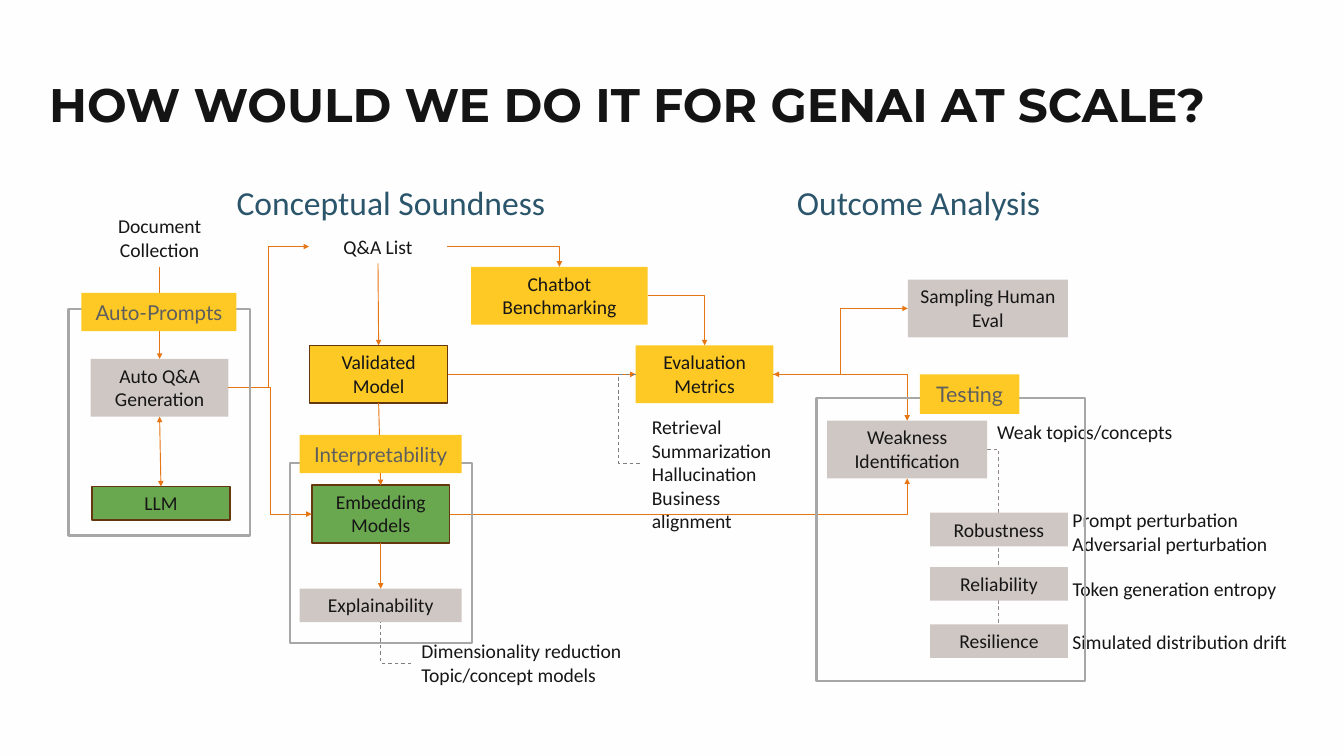
from pptx import Presentation
from pptx.dml.color import RGBColor
from pptx.enum.dml import MSO_LINE
from pptx.enum.shapes import MSO_CONNECTOR, MSO_SHAPE
from pptx.enum.text import MSO_ANCHOR, MSO_AUTO_SIZE, PP_ALIGN
from pptx.oxml.ns import qn
from pptx.util import Pt
from lxml import etree

RECT = MSO_SHAPE.RECTANGLE
STRAIGHT, ELBOW = MSO_CONNECTOR.STRAIGHT, MSO_CONNECTOR.ELBOW
DASH = MSO_LINE.DASH
CENTER, LEFT = PP_ALIGN.CENTER, PP_ALIGN.LEFT
TOP_ANCHOR, LOW_ANCHOR = MSO_ANCHOR.TOP, MSO_ANCHOR.BOTTOM
GROW = MSO_AUTO_SIZE.SHAPE_TO_FIT_TEXT
TOP, WEST, LOW, EAST = range(4)

SCALE = 9144  # EMU per px, 100 px to the inch
THEME = {
    "back": "FEFEFE", "title": "151414", "text": "161616", "head": "2B556B",
    "label": "5E5E5E", "gray": "CFC7C3", "gold": "FEC925", "amber": "FCC925",
    "green": "6AA84F", "edge": "643710", "frame": "A7A7A7", "flow": "E67513",
    "dash": "7F7F7F", "stem": "92898A",
    "title_pt": 50.4, "head_pt": 36, "text_pt": 21,
    "title_font": "Montserrat", "text_font": "Calibri", "label_font": "Lato",
}

# Content: place is left, top, width, height in px
TITLE = "HOW WOULD WE DO IT FOR GENAI AT SCALE?"
HEADS = [
    ("Conceptual Soundness", (337, 264, 495, 76)),
    ("Outcome Analysis", (1171, 264, 472, 76)),
]
# name, lines, place, fill, has edge
BOXES = [
    ("auto", ["Auto Q&A Generation"], (135, 534, 205, 86), "gray", False),
    ("valid", ["Validated Model"], (461, 514, 205, 86), "amber", True),
    ("eval", ["Evaluation", "Metrics"], (946, 514, 205, 86), "gold", False),
    ("explain", ["Explainability"], (446, 876, 241, 50), "gray", False),
    ("bench", ["Chatbot", "Benchmarking"], (701, 397, 263, 86), "gold", False),
    ("weak", ["Weakness Identification"], (1231, 626, 238, 86), "gray", False),
    ("robust", ["Robustness"], (1384, 763, 205, 50), "gray", False),
    ("rely", ["Reliability"], (1384, 844, 205, 50), "gray", False),
    ("resil", ["Resilience"], (1384, 929, 205, 50), "gray", False),
    ("llm", ["LLM"], (137, 724, 205, 50), "green", True),
    ("embed", ["Embedding Models"], (464, 722, 205, 86), "green", True),
    ("human", ["Sampling Human Eval"], (1351, 416, 238, 86), "gray", False),
]
# name, lines, place, alignment
NOTES = [
    ("docs", ["Document Collection"], (135, 312, 205, 86), CENTER),
    ("list", ["Q&A List"], (460, 342, 205, 50), CENTER),
    ("topics", ["Dimensionality reduction", "Topic/concept models"],
     (612, 944, 331, 86), LEFT),
    ("tasks", ["Retrieval", "Summarization", "Hallucination",
               "Business alignment"], (955, 611, 254, 157), LEFT),
    ("prompt", ["Prompt perturbation", "Adversarial perturbation"],
     (1581, 749, 324, 86), LEFT),
    ("token", ["Token generation entropy"], (1581, 851, 338, 86), LEFT),
    ("drift", ["Simulated distribution drift"], (1581, 931, 350, 50), LEFT),
    ("concept", ["Weak topics/concepts"], (1469, 618, 294, 50), LEFT),
]
FRAMES = [(102, 460, 270, 337), (432, 689, 270, 268), (1215, 592, 399, 422)]
TAGS = [
    ("Auto-Prompts", (121, 436, 231, 57), 22),
    ("Interpretability", (446, 647, 241, 57), 22),
    ("Testing", (1369, 557, 148, 59), 23),
]
# from, side, to, side, bends, arrowheads
FLOWS = [
    ("docs", LOW, "auto", TOP, 0, 1),
    ("auto", LOW, "llm", TOP, 0, 2),
    ("list", LOW, "valid", TOP, 0, 1),
    ("auto", EAST, "list", WEST, 2, 1),
    ("valid", LOW, "embed", TOP, 0, 1),
    ("auto", EAST, "embed", WEST, 2, 1),
    ("embed", LOW, "explain", TOP, 0, 1),
    ("valid", EAST, "eval", WEST, 0, 1),
    ("list", EAST, "bench", TOP, 1, 1),
    ("eval", EAST, "weak", TOP, 1, 2),
    ("embed", EAST, "weak", LOW, 1, 1),
    ("eval", EAST, "human", WEST, 2, 1),
    ("bench", EAST, "eval", TOP, 1, 1),
]
TURN = 921  # x of the dashed line's upright part

prs = Presentation()
prs.slide_width, prs.slide_height = 2000 * SCALE, 1125 * SCALE
slide = prs.slides.add_slide(prs.slide_layouts[5])
shapes = slide.shapes
nodes, spots = {}, {}


def tint(key):
    return RGBColor.from_string(THEME[key])


def emu(place):
    return [v * SCALE for v in place]


def write(shape, lines, color, size, font, align=LEFT, pad=(15, 7), bold=False):
    frame = shape.text_frame
    frame.word_wrap = True
    frame.vertical_anchor = TOP_ANCHOR
    frame.margin_left = frame.margin_right = pad[0] * SCALE
    frame.margin_top = frame.margin_bottom = pad[1] * SCALE
    for i, line in enumerate(lines):
        para = frame.add_paragraph() if i else frame.paragraphs[0]
        para.alignment = align
        run = para.add_run()
        run.text = line
        run.font.size, run.font.name, run.font.bold = Pt(size), font, bold
        run.font.color.rgb = tint(color)


def panel(place, fill=None, edge=None, width=1.5):
    shape = shapes.add_shape(RECT, *emu(place))
    shape.shadow.inherit = False
    if fill:
        shape.fill.solid()
        shape.fill.fore_color.rgb = tint(fill)
    else:
        shape.fill.background()
    if edge:
        shape.line.color.rgb = tint(edge)
        shape.line.width = Pt(width)
    else:
        shape.line.fill.background()
    return shape


def label(place, lines, color, size, align=LEFT):
    box = shapes.add_textbox(*emu(place))
    write(box, lines, color, size, THEME["text_font"], align)
    box.text_frame.auto_size = GROW
    return box


def middle(name, side):
    x, y, w, h = spots[name]
    return [(x + w / 2, y), (x, y + h / 2), (x + w / 2, y + h), (x + w, y + h / 2)][side]


def link(start, out, end, into, bends, heads=0, color="flow", turn=None):
    a, b = middle(start, out), middle(end, into)
    line = shapes.add_connector(ELBOW if bends else STRAIGHT,
                                *[round(v * SCALE) for v in a + b])
    line.begin_connect(nodes[start], out)
    line.end_connect(nodes[end], into)
    line.line.color.rgb = tint(color)
    line.line.width = Pt(1)
    props = line._element.spPr
    geom = props.find(qn("a:prstGeom"))
    if bends == 1:
        geom.set("prst", "bentConnector2")
    if turn is not None:
        ratio = round((turn - a[0]) / (b[0] - a[0]) * 100000)
        guide = etree.SubElement(geom.find(qn("a:avLst")), qn("a:gd"))
        guide.set("name", "adj1")
        guide.set("fmla", f"val {ratio}")
    if not heads:
        line.line.dash_style = DASH
    for tag in ["a:headEnd", "a:tailEnd"][2 - heads:]:
        etree.SubElement(line.line._get_or_add_ln(), qn(tag)).set("type", "triangle")
    etree.SubElement(props, qn("a:effectLst"))
    return line


# Background and title
slide.background.fill.solid()
slide.background.fill.fore_color.rgb = tint("back")
title = shapes.title
title.left, title.top, title.width, title.height = emu((58, 63, 1848, 140))
write(title, [TITLE], "title", THEME["title_pt"], THEME["title_font"], bold=True)
title.text_frame.vertical_anchor = LOW_ANCHOR
title.text_frame.auto_size = MSO_AUTO_SIZE.NONE

# Headings, boxes and notes
for text, place in HEADS:
    label(place, [text], "head", THEME["head_pt"])
for name, lines, place, fill, edged in BOXES:
    box = panel(place, fill, "edge" if edged else None)
    write(box, lines, "text", THEME["text_pt"], THEME["text_font"], CENTER)
    box.text_frame.auto_size = GROW
    nodes[name], spots[name] = box, place
for name, lines, place, align in NOTES:
    nodes[name] = label(place, lines, "text", THEME["text_pt"], align)
    spots[name] = place

# Flow arrows and dashed lines; the stem runs behind the boxes
for flow in FLOWS:
    link(*flow)
link("topics", WEST, "explain", LOW, 1, color="dash")
link("eval", WEST, "tasks", WEST, 2, color="dash", turn=TURN)
stem = link("weak", EAST, "resil", TOP, 1, color="stem")
shapes._spTree.insert(2, stem._element)

# Group frames with their tags
for place in FRAMES:
    panel(place, edge="frame", width=2.25)
for text, place, size in TAGS:
    tag = panel(place, "gold")
    write(tag, [text], "label", size, THEME["label_font"], CENTER, (10, 10))
    tag.text_frame.auto_size = GROW

prs.save("out.pptx")
